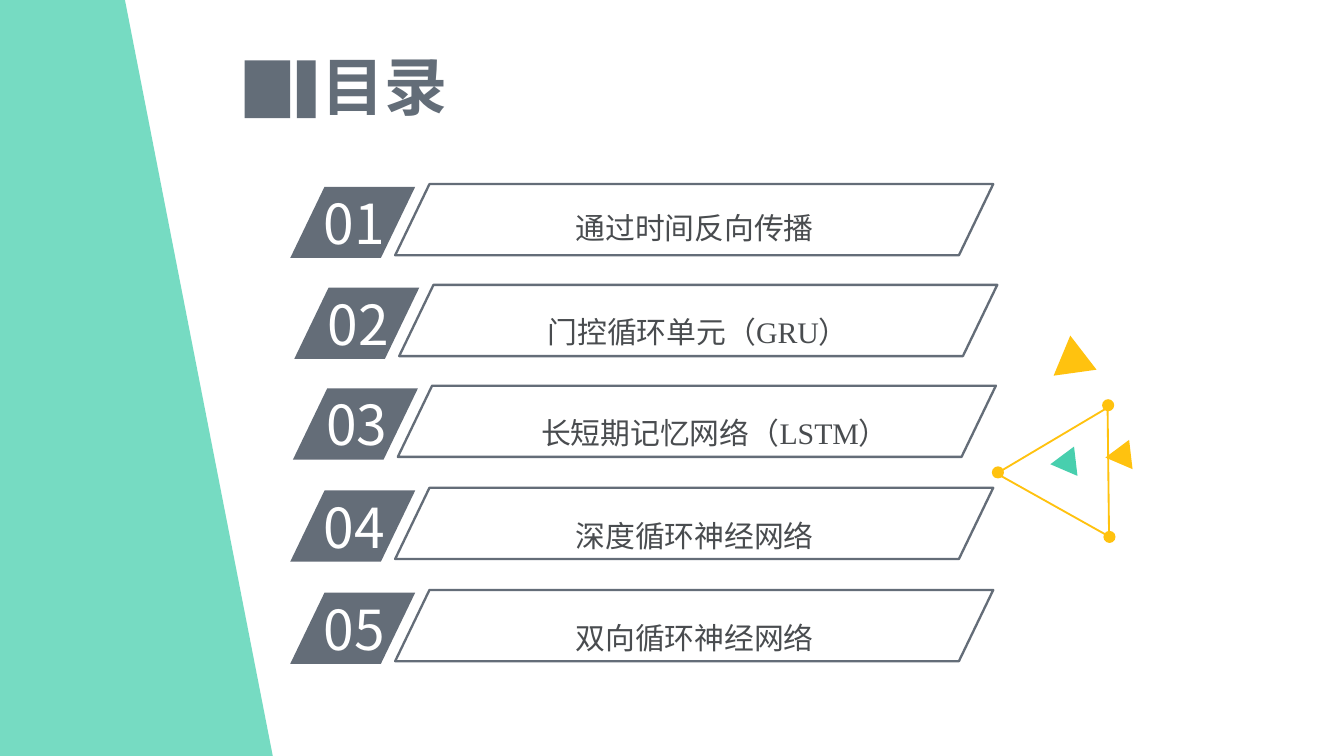
from dataclasses import dataclass

import pptx
import pptx.dml.color
import pptx.enum.shapes
import pptx.enum.text
import pptx.oxml
import pptx.oxml.ns
import pptx.util
from pptx.dml.color import RGBColor
from pptx.util import Inches

SLATE = RGBColor(0x64, 0x6D, 0x78)
TITLE_SLATE = RGBColor(0x63, 0x6D, 0x78)
CAPTION_GREY = RGBColor(0x49, 0x4C, 0x4F)
WHITE = RGBColor(0xFF, 0xFF, 0xFF)
MINT = RGBColor(0x49, 0xCF, 0xAE)
TRIANGLE_MINT = RGBColor(0x48, 0xCF, 0xAE)
AMBER = RGBColor(0xFF, 0xC2, 0x0F)

SANS = "Noto Sans CJK SC"
SERIF = "Times New Roman"
KIND = pptx.enum.shapes.MSO_SHAPE
ALIGN = pptx.enum.text.PP_ALIGN
ANCHOR = pptx.enum.text.MSO_ANCHOR
SLANT = 0.482

# Widescreen page, 16 to 9
PAGE_WIDTH = Inches(10)
PAGE_HEIGHT = PAGE_WIDTH * 9 // 16


@dataclass
class Box:
    left: float
    top: float
    width: float
    height: float

    def lengths(self) -> list:
        return [Inches(n) for n in (self.left, self.top, self.width, self.height)]


@dataclass
class Entry:
    left: float
    top: float
    caption: Box
    runs: list[tuple[str, str]]


@dataclass
class Triangle:
    box: Box
    rotation: float
    color: RGBColor
    outlined: bool = False


def add_figure(slide, kind, box: Box, color: RGBColor, outline: float = 0,
               rotation: float = 0):
    """Draw a filled shape, or a hollow one when an outline width is given."""
    figure = slide.shapes.add_shape(kind, *box.lengths())
    figure.shadow.inherit = False
    figure.rotation = rotation
    if outline:
        figure.fill.background()
        figure.line.color.rgb = color
        figure.line.width = pptx.util.Pt(outline)
    else:
        figure.fill.solid()
        figure.fill.fore_color.rgb = color
        figure.line.fill.background()
    if kind == KIND.PARALLELOGRAM:
        figure.adjustments[0] = SLANT
    return figure


def add_text(slide, box: Box, runs: list[tuple[str, str]], size: float,
             color: RGBColor, align=ALIGN.LEFT, bold: bool = False):
    label = slide.shapes.add_textbox(*box.lengths())
    frame = label.text_frame
    frame.word_wrap = True
    paragraph = frame.paragraphs[0]
    paragraph.alignment = align
    for wording, typeface in runs:
        run = paragraph.add_run()
        run.text = wording
        run.font.size = pptx.util.Pt(size)
        run.font.bold = bold
        run.font.color.rgb = color
        run.font.name = typeface
        east_asian = pptx.oxml.parse_xml(
            f'<a:ea {pptx.oxml.ns.nsdecls("a")} typeface="{SANS}"/>')
        run.font._element.find(pptx.oxml.ns.qn("a:latin")).addnext(east_asian)
    return frame


def add_entry(slide, number: int, entry: Entry) -> None:
    left, top = entry.left, entry.top
    add_figure(slide, KIND.PARALLELOGRAM, Box(left, top, 0.93, 0.53), SLATE)
    add_text(slide, Box(left + 0.15, top - 0.03, 0.88, 0.6),
             [(f"{number:02}", SANS)], 29.5, WHITE)
    caption = add_text(slide, entry.caption, entry.runs, 16, CAPTION_GREY, ALIGN.CENTER)
    caption.margin_left = caption.margin_right = Inches(0.08)
    caption.margin_top = caption.margin_bottom = Inches(0.04)
    caption.paragraphs[0].line_spacing = 1.5
    add_figure(slide, KIND.PARALLELOGRAM, Box(left + 0.78, top - 0.02, 4.45, 0.53),
               SLATE, outline=1.25)


def add_side_band(slide) -> None:
    outline = slide.shapes.build_freeform(0, 0)
    outline.add_line_segments(
        [(Inches(0.93), 0), (Inches(2.03), PAGE_HEIGHT), (0, PAGE_HEIGHT)], close=True)
    band = outline.convert_to_shape()
    band.shadow.inherit = False
    band.fill.solid()
    band.fill.fore_color.rgb = MINT
    band.line.fill.background()
    tint = band._element.spPr.find(".//" + pptx.oxml.ns.qn("a:srgbClr"))
    tint.append(pptx.oxml.parse_xml(
        f'<a:alpha {pptx.oxml.ns.nsdecls("a")} val="75000"/>'))


ENTRIES = [
    Entry(2.16, 1.39, Box(3.54, 1.39, 3.26, 0.43), [("通过时间反向传播", SERIF)]),
    Entry(2.19, 2.14, Box(3.08, 2.16, 4.23, 0.43), [("门控循环单元（GRU）", SERIF)]),
    Entry(2.18, 2.89, Box(3.2, 2.91, 4.24, 0.43),
          [("长短期记忆网络（", SANS), ("LSTM", SERIF), ("）", SANS)]),
    Entry(2.16, 3.65, Box(3.54, 3.68, 3.26, 0.43), [("深度循环神经网络", SERIF)]),
    Entry(2.16, 4.41, Box(3.54, 4.44, 3.26, 0.43), [("双向循环神经网络", SERIF)]),
]

TRIANGLES = [
    Triangle(Box(7.79, 2.57, 0.32, 0.28), 232.4, AMBER),
    Triangle(Box(7.85, 3.37, 0.22, 0.19), 143.3, TRIANGLE_MINT),
    Triangle(Box(8.26, 3.32, 0.22, 0.19), 143.3, AMBER),
    Triangle(Box(7.56, 3.22, 0.96, 0.83), 149.3, AMBER, outlined=True),
]

CORNER_DOTS = [(8.2, 2.97), (8.21, 3.95), (7.38, 3.47)]


def main() -> None:
    deck = pptx.Presentation()
    deck.slide_width, deck.slide_height = PAGE_WIDTH, PAGE_HEIGHT
    slide = deck.slides.add_slide(deck.slide_layouts[6])

    # Triangle ornament
    for triangle in TRIANGLES:
        add_figure(slide, KIND.ISOSCELES_TRIANGLE, triangle.box, triangle.color,
                   outline=1 if triangle.outlined else 0, rotation=triangle.rotation)
    for left, top in CORNER_DOTS:
        add_figure(slide, KIND.OVAL, Box(left, top, 0.09, 0.09), AMBER)

    # Heading with its two bars
    heading = add_text(slide, Box(1.56, 0.35, 2.6, 0.57), [("目录", SANS)], 33.8,
                       TITLE_SLATE, ALIGN.CENTER, bold=True)
    heading.vertical_anchor = ANCHOR.MIDDLE
    for left, width in ((2.21, 0.14), (1.82, 0.34)):
        add_figure(slide, KIND.RECTANGLE, Box(left, 0.45, width, 0.43), TITLE_SLATE)

    # Side band and contents
    add_side_band(slide)
    for number, entry in enumerate(ENTRIES, start=1):
        add_entry(slide, number, entry)

    deck.save("out.pptx")


if __name__ == "__main__":
    main()
